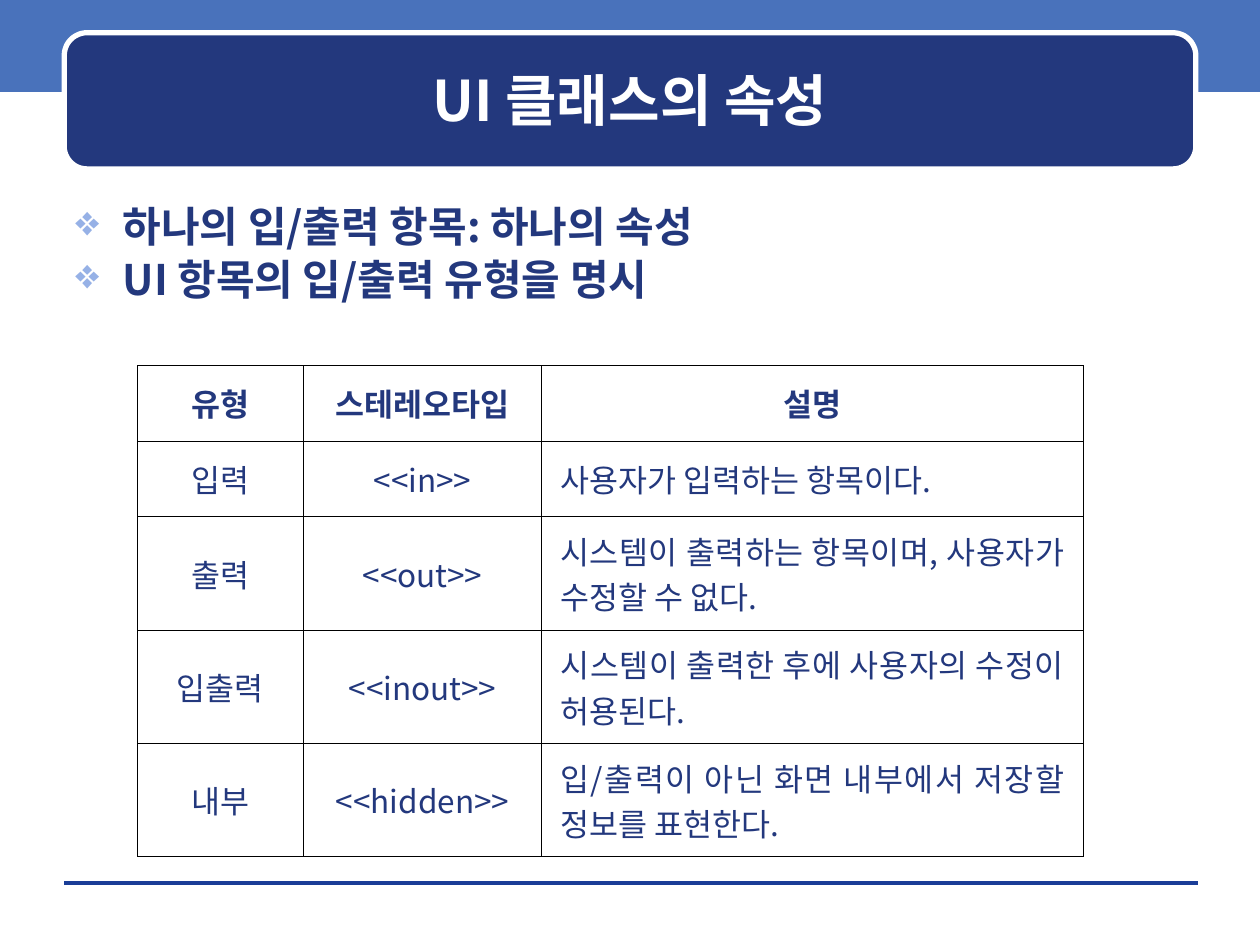
from dataclasses import dataclass

from lxml import etree
from pptx import Presentation
from pptx.dml.color import RGBColor
from pptx.enum.shapes import MSO_CONNECTOR, MSO_SHAPE
from pptx.enum.text import MSO_ANCHOR, PP_ALIGN
from pptx.oxml.ns import qn
from pptx.util import Pt

RECTANGLE = MSO_SHAPE.RECTANGLE
ROUNDED = MSO_SHAPE.ROUNDED_RECTANGLE
STRAIGHT = MSO_CONNECTOR.STRAIGHT
MIDDLE = MSO_ANCHOR.MIDDLE
TOP = MSO_ANCHOR.TOP
LEFT = PP_ALIGN.LEFT
CENTER = PP_ALIGN.CENTER
JUSTIFY = PP_ALIGN.JUSTIFY


@dataclass(frozen=True)
class Theme:
    """Colours, typeface and type sizes of the slide."""

    font: str = "Noto Sans CJK KR"
    navy: str = "23387D"
    band: str = "4972BB"
    rule: str = "1A3D97"
    bullet: str = "96B1E6"
    white: str = "FFFFFF"
    black: str = "000000"
    title: int = 32
    body: int = 24
    cell: int = 18


THEME = Theme()
TITLE = "UI 클래스의 속성"
POINTS = ["하나의 입/출력 항목: 하나의 속성", "UI 항목의 입/출력 유형을 명시"]
ROWS = [
    ("유형", "스테레오타입", "설명"),
    ("입력", "<<in>>", "사용자가 입력하는 항목이다."),
    ("출력", "<<out>>", "시스템이 출력하는 항목이며, 사용자가 수정할 수 없다."),
    ("입출력", "<<inout>>", "시스템이 출력한 후에 사용자의 수정이 허용된다."),
    ("내부", "<<hidden>>", "입/출력이 아닌 화면 내부에서 저장할 정보를 표현한다."),
]
COLUMN_WIDTHS = [95, 136, 309.5]
ROW_HEIGHTS = [43.2, 43.2, 64.8, 64.8, 64.8]


def apply(target, formats):
    """Set every attribute named in a dict of format values."""
    for name, value in formats.items():
        setattr(target, name, value)


def add_child(parent, tag, **attributes):
    """Append a drawing element and return it."""
    child = etree.SubElement(parent, qn(tag))
    for name, value in attributes.items():
        child.set(name, str(value))
    return child


def write(para, text, size, color, bold, align=LEFT):
    """Put one formatted span of text in a paragraph."""
    para.alignment = align
    span = para.add_run()
    span.text = text
    span.font.color.rgb = RGBColor.from_string(color)
    apply(span.font, {"name": THEME.font, "size": Pt(size), "bold": bold})
    add_child(span.font._element, "a:ea", typeface=THEME.font)


def add_panel(page, kind, bounds, color, outline=None):
    """Draw a filled shape with an optional outline of 3 points."""
    panel = page.shapes.add_shape(kind, *map(Pt, bounds))
    panel.shadow.inherit = False
    panel.fill.solid()
    panel.fill.fore_color.rgb = RGBColor.from_string(color)
    if outline:
        panel.line.color.rgb = RGBColor.from_string(outline)
        panel.line.width = Pt(3)
    else:
        panel.line.fill.background()


def add_rule(page, left, right, top):
    """Draw the hairline at the foot of the slide."""
    rule = page.shapes.add_connector(STRAIGHT, Pt(left), Pt(top), Pt(right), Pt(top))
    rule.line.color.rgb = RGBColor.from_string(THEME.rule)
    rule.line.width = Pt(0)
    add_child(rule._element.spPr, "a:effectLst")


def add_text_frame(page, bounds, anchor):
    """Add a wrapping text box and return its text frame."""
    frame = page.shapes.add_textbox(*map(Pt, bounds)).text_frame
    apply(frame, {"word_wrap": True, "vertical_anchor": anchor})
    return frame


def add_title(page, bounds):
    """Write the centred title."""
    frame = add_text_frame(page, bounds, MIDDLE)
    write(frame.paragraphs[0], TITLE, THEME.title, THEME.white, True, CENTER)


def add_bullets(page, bounds):
    """Write the bulleted points."""
    frame = add_text_frame(page, bounds, TOP)
    for index, point in enumerate(POINTS):
        para = frame.add_paragraph() if index else frame.paragraphs[0]
        apply(para, {"line_spacing": 0.83, "space_before": Pt(6 if index else 0)})
        properties = para._p.get_or_add_pPr()
        properties.set("marL", str(Pt(27)))
        properties.set("indent", str(Pt(-27)))
        add_child(add_child(properties, "a:buClr"), "a:srgbClr", val=THEME.bullet)
        add_child(properties, "a:buChar", char="❖")
        write(para, point, THEME.body, THEME.navy, True)


def add_borders(cell):
    """Give a cell thin black borders on all four sides."""
    properties = cell._tc.get_or_add_tcPr()
    for index, tag in enumerate(("a:lnL", "a:lnR", "a:lnT", "a:lnB")):
        border = etree.Element(qn(tag), w=str(Pt(0.45)))
        add_child(add_child(border, "a:solidFill"), "a:srgbClr", val=THEME.black)
        properties.insert(index, border)


def add_type_table(page, left, top):
    """Build the table of attribute types."""
    table = page.shapes.add_table(
        len(ROWS), len(COLUMN_WIDTHS), Pt(left), Pt(top),
        Pt(sum(COLUMN_WIDTHS)), Pt(sum(ROW_HEIGHTS)),
    ).table
    apply(table, {"first_row": False, "horz_banding": False})
    for column, width in zip(table.columns, COLUMN_WIDTHS):
        column.width = Pt(width)
    margins = {"margin_left": Pt(10.8), "margin_right": Pt(10.8),
               "margin_top": Pt(3.6), "margin_bottom": Pt(3.6)}
    for row, texts in enumerate(ROWS):
        table.rows[row].height = Pt(ROW_HEIGHTS[row])
        for column, text in enumerate(texts):
            cell = table.cell(row, column)
            apply(cell, {"vertical_anchor": MIDDLE, **margins})
            cell.fill.background()
            add_borders(cell)
            align = JUSTIFY if row and column == 2 else CENTER
            write(cell.text_frame.paragraphs[0], text, THEME.cell, THEME.navy, row == 0, align)


def main():
    """Build the slide and save the deck."""
    deck = Presentation()
    apply(deck, {"slide_width": Pt(720), "slide_height": Pt(540)})
    page = deck.slides.add_slide(deck.slide_layouts[6])
    add_panel(page, RECTANGLE, (0, -2.2, 720, 54.7), THEME.band)
    add_rule(page, 36.7, 684.7, 504.7)
    add_panel(page, ROUNDED, (36.7, 18.7, 646.6, 77.8), THEME.navy, THEME.white)
    add_title(page, (43, 25.2, 634, 63.4))
    add_bullets(page, (36, 116, 648, 381))
    add_type_table(page, 78.5, 208.8)
    deck.save("out.pptx")


if __name__ == "__main__":
    main()
